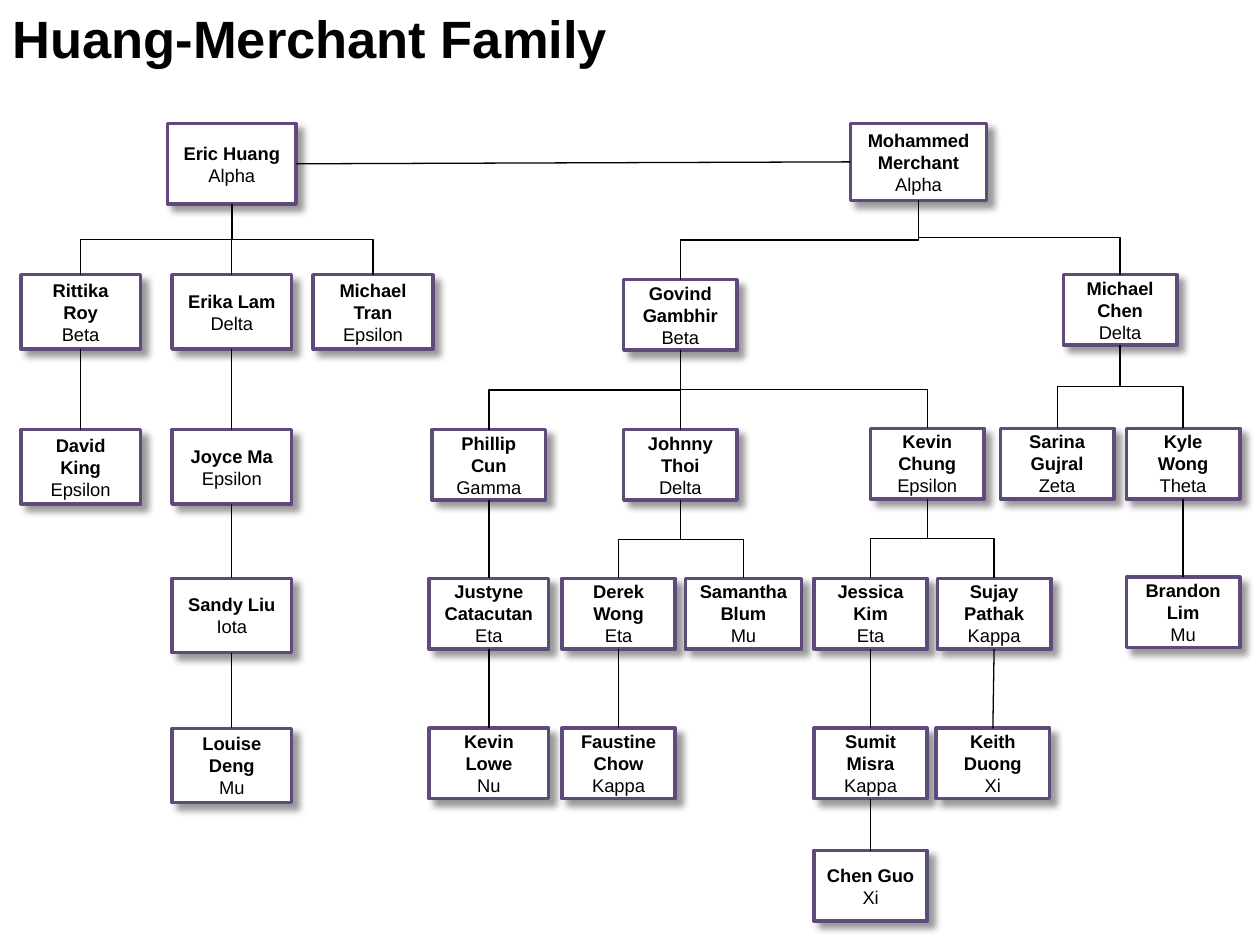
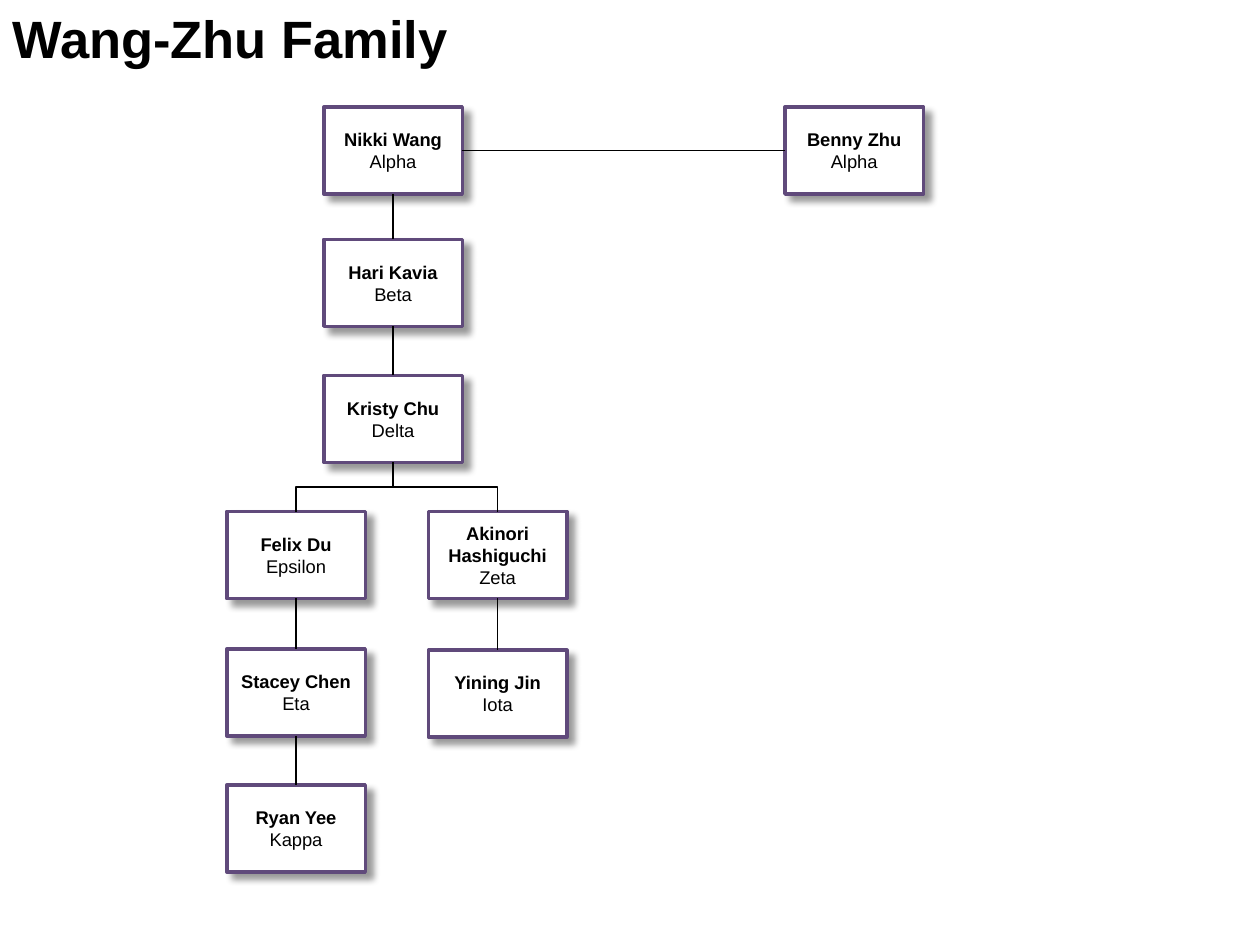
from collections import namedtuple

from lxml.etree import SubElement
from pptx import Presentation
from pptx.dml.color import RGBColor
from pptx.enum.shapes import MSO_CONNECTOR, MSO_SHAPE
from pptx.enum.text import MSO_ANCHOR, MSO_AUTO_SIZE, PP_ALIGN
from pptx.oxml.ns import qn
from pptx.util import Inches, Pt

COLOURS = {"ink": "000000", "paper": "FFFFFF", "frame": "604A7B"}
FONT = "Arial"
TOP, LEFT, BOTTOM, RIGHT = range(4)

Box = namedtuple("Box", "left top width height")
Member = namedtuple("Member", "name rank centre top size parent")

TALL = (0.95, 0.59)
SMALL = (0.9, 0.56)
BROAD = (0.95, 0.56)
LARGE = (1.1, 0.69)

HUANG_MERCHANT = [
    Member("Eric Huang", "Alpha", 1.84, 0, (1.02, 0.64), None),
    Member("Mohammed Merchant", "Alpha", 7.29, 0, (1.08, 0.61), None),
    Member("Rittika Roy", "Beta", 0.64, 1.2, TALL, "Eric Huang"),
    Member("Erika Lam", "Delta", 1.84, 1.2, TALL, "Eric Huang"),
    Member("Michael Tran", "Epsilon", 2.96, 1.2, TALL, "Eric Huang"),
    Member("David King", "Epsilon", 0.64, 2.43, TALL, "Rittika Roy"),
    Member("Joyce Ma", "Epsilon", 1.84, 2.43, TALL, "Erika Lam"),
    Member("Sandy Liu", "Iota", 1.84, 3.61, TALL, "Joyce Ma"),
    Member("Louise Deng", "Mu", 1.84, 4.8, TALL, "Sandy Liu"),
    Member("Govind Gambhir", "Beta", 5.4, 1.24, SMALL, "Mohammed Merchant"),
    Member("Michael Chen", "Delta", 8.89, 1.2, SMALL, "Mohammed Merchant"),
    Member("Phillip Cun", "Gamma", 3.88, 2.43, SMALL, "Govind Gambhir"),
    Member("Johnny Thoi", "Delta", 5.4, 2.43, SMALL, "Govind Gambhir"),
    Member("Kevin Chung", "Epsilon", 7.36, 2.42, SMALL, "Govind Gambhir"),
    Member("Sarina Gujral", "Zeta", 8.39, 2.42, SMALL, "Michael Chen"),
    Member("Kyle Wong", "Theta", 9.39, 2.42, SMALL, "Michael Chen"),
    Member("Justyne Catacutan", "Eta", 3.88, 3.61, BROAD, "Phillip Cun"),
    Member("Derek Wong", "Eta", 4.91, 3.61, SMALL, "Johnny Thoi"),
    Member("Samantha Blum", "Mu", 5.9, 3.61, (0.92, 0.56), "Johnny Thoi"),
    Member("Jessica Kim", "Eta", 6.91, 3.61, SMALL, "Kevin Chung"),
    Member("Sujay Pathak", "Kappa", 7.89, 3.61, SMALL, "Kevin Chung"),
    Member("Brandon Lim", "Mu", 9.39, 3.6, SMALL, "Kyle Wong"),
    Member("Kevin Lowe", "Nu", 3.88, 4.8, BROAD, "Justyne Catacutan"),
    Member("Faustine Chow", "Kappa", 4.91, 4.8, SMALL, "Derek Wong"),
    Member("Sumit Misra", "Kappa", 6.91, 4.8, SMALL, "Jessica Kim"),
    Member("Keith Duong", "Xi", 7.88, 4.8, SMALL, "Sujay Pathak"),
    Member("Chen Guo", "Xi", 6.91, 5.77, SMALL, "Sumit Misra"),
]

WANG_ZHU = [
    Member("Nikki Wang", "Alpha", 1.32, 0, LARGE, None),
    Member("Benny Zhu", "Alpha", 4.98, 0, LARGE, None),
    Member("Hari Kavia", "Beta", 1.32, 1.05, LARGE, "Nikki Wang"),
    Member("Kristy Chu", "Delta", 1.32, 2.13, LARGE, "Hari Kavia"),
    Member("Felix Du", "Epsilon", 0.55, 3.21, LARGE, "Kristy Chu"),
    Member("Akinori Hashiguchi", "Zeta", 2.15, 3.21, LARGE, "Kristy Chu"),
    Member("Stacey Chen", "Eta", 0.55, 4.3, LARGE, "Felix Du"),
    Member("Yining Jin", "Iota", 2.15, 4.31, LARGE, "Akinori Hashiguchi"),
    Member("Ryan Yee", "Kappa", 0.55, 5.38, LARGE, "Stacey Chen"),
]


def colour(name):
    """Return the named colour of the palette."""
    return RGBColor.from_string(COLOURS[name])


def style_font(para, size, bold):
    """Give a paragraph the shared typeface and ink."""
    para.font.name = FONT
    para.font.size = Pt(size)
    para.font.bold = bold
    para.font.color.rgb = colour("ink")


def add_shadow(shape):
    """Give a shape a soft shadow to the lower right."""
    shape.shadow.inherit = False
    effects = shape.element.spPr.find(qn("a:effectLst"))
    shadow = SubElement(effects, qn("a:outerShdw"), blurRad=str(Pt(4)),
                        dist=str(Pt(5)), dir="2700000", algn="tl", rotWithShape="0")
    tint = SubElement(shadow, qn("a:srgbClr"), val=COLOURS["ink"])
    SubElement(tint, qn("a:alpha"), val="40000")


def draw_card(page, box, member):
    """Draw one framed card with a member's name and rank."""
    width, height = member.size
    card = page.shapes.add_shape(
        MSO_SHAPE.RECTANGLE, Inches(box.left + member.centre - width / 2),
        Inches(box.top + member.top), Inches(width), Inches(height))
    card.fill.solid()
    card.fill.fore_color.rgb = colour("paper")
    card.line.color.rgb = colour("frame")
    card.line.width = Pt(2)
    add_shadow(card)
    frame = card.text_frame
    frame.word_wrap = True
    frame.vertical_anchor = MSO_ANCHOR.MIDDLE
    name, rank = frame.paragraphs[0], frame.add_paragraph()
    for para, text, bold in ((name, member.name, True), (rank, member.rank, False)):
        para.text = text
        para.alignment = PP_ALIGN.CENTER
        style_font(para, 10.5, bold)
    return card


def join(page, start, start_site, end, end_site, kind=MSO_CONNECTOR.STRAIGHT):
    """Glue a thin line between two cards."""
    line = page.shapes.add_connector(kind, 0, 0, 0, 0)
    line.begin_connect(start, start_site)
    line.end_connect(end, end_site)
    line.line.color.rgb = colour("ink")
    line.line.width = Pt(0.75)
    SubElement(line.element.spPr, qn("a:effectLst"))
    return line


def join_child(page, parent, child):
    """Run a line down from parent to child, bent where the columns differ."""
    start_x = parent.left + parent.width // 2
    end_x = child.left + child.width // 2
    across = end_x - start_x
    if abs(across) < Inches(0.1):
        join(page, parent, BOTTOM, child, TOP)
        return
    line = join(page, parent, BOTTOM, child, TOP, MSO_CONNECTOR.ELBOW)
    start_y = parent.top + parent.height
    drop = child.top - start_y
    line.left = (start_x + end_x - drop) // 2
    line.top = (start_y + child.top - abs(across)) // 2
    line.width, line.height = drop, abs(across)
    turn = line.element.spPr.find(qn("a:xfrm"))
    turn.set("rot", "16200000" if across > 0 else "5400000")
    turn.set("flipH", "1" if across > 0 else "0")
    turn.set("flipV", "0")


def draw_tree(page, box, members):
    """Draw a family inside the box: cards, the founding pair and descent."""
    cards = {member.name: draw_card(page, box, member) for member in members}
    first, second = [cards[member.name] for member in members if not member.parent]
    join(page, first, RIGHT, second, LEFT)
    for member in members:
        if member.parent:
            join_child(page, cards[member.parent], cards[member.name])


def set_title(page, box, text):
    """Place and style the slide title."""
    title = page.shapes.title
    title.left, title.top, title.width, title.height = map(Inches, box)
    frame = title.text_frame
    frame.text = text
    frame.word_wrap = True
    frame.vertical_anchor = MSO_ANCHOR.TOP
    frame.auto_size = MSO_AUTO_SIZE.SHAPE_TO_FIT_TEXT
    para = frame.paragraphs[0]
    para.alignment = PP_ALIGN.LEFT
    style_font(para, 30, True)


def add_family(deck, title, box, members):
    """Add one family slide."""
    page = deck.slides.add_slide(deck.slide_layouts.get_by_name("Title Only"))
    set_title(page, Box(0, 0, 10, 0.61), title)
    draw_tree(page, box, members)


deck = Presentation()
deck.slide_width, deck.slide_height = Inches(10), Inches(7.5)
add_family(deck, "Huang-Merchant Family", Box(0, 0.98, 10, 6.33), HUANG_MERCHANT)
add_family(deck, "Wang-Zhu Family", Box(1.8, 0.85, 5.53, 6.07), WANG_ZHU)
deck.save("out.pptx")
